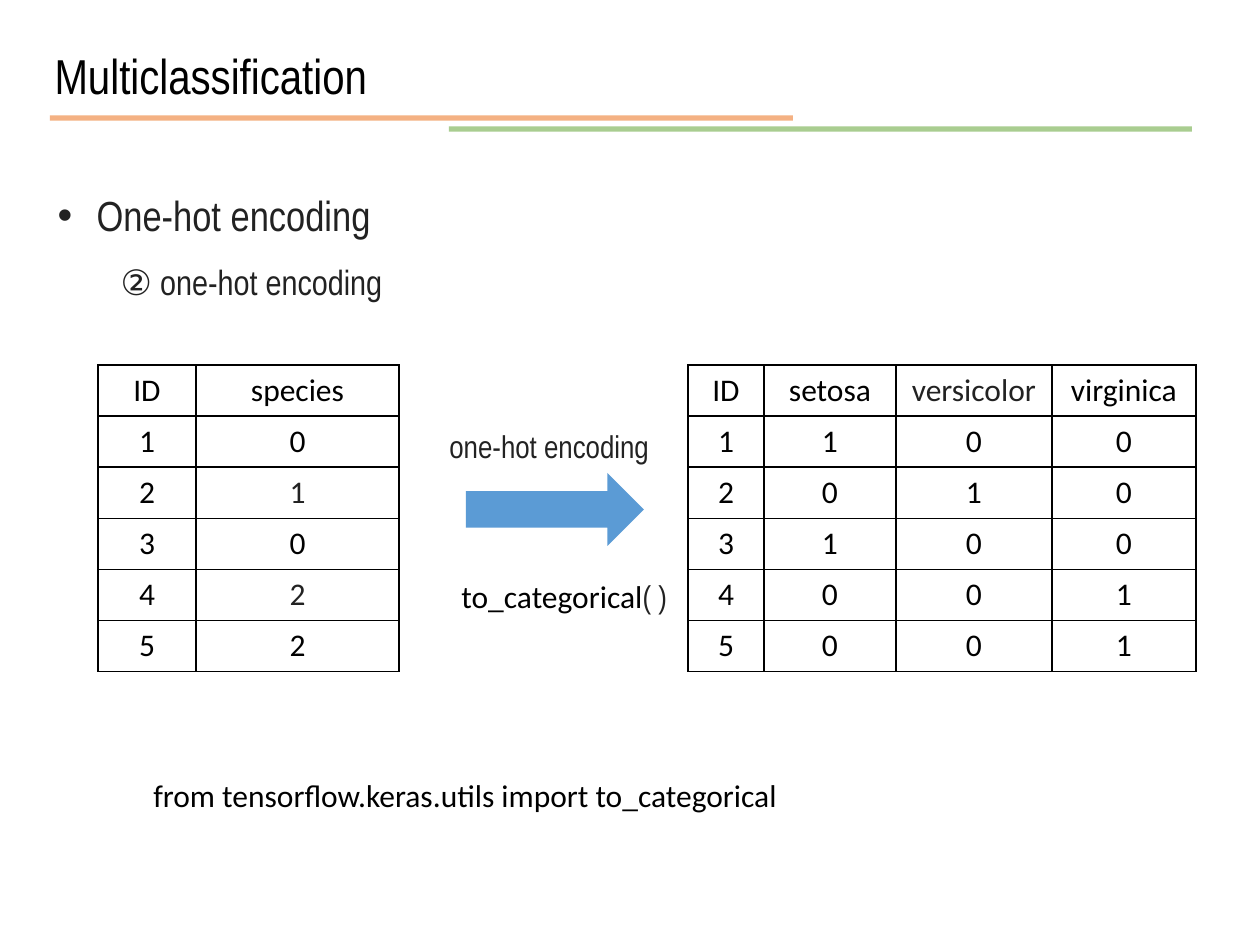
from dataclasses import dataclass

from pptx import Presentation
from pptx.dml.color import RGBColor
from pptx.enum.shapes import MSO_CONNECTOR, MSO_SHAPE
from pptx.enum.text import MSO_ANCHOR, MSO_AUTO_SIZE, PP_ALIGN
from pptx.oxml.ns import qn
from pptx.util import Emu, Pt
from lxml.etree import SubElement


@dataclass(frozen=True)
class Theme:
    black: str = "000000"
    ink: str = "222222"
    orange: str = "ED7D31"
    green: str = "70AD47"
    blue: str = "5B9BD5"
    title: int = 28
    heading: int = 24
    subheading: int = 20
    body: int = 18
    narrow: str = "Arial Narrow"
    plain: str = "Calibri"


T = Theme()


def px(n):
    return Emu(round(n * 914400 / 126))


def write(p, text, size=T.body, font=T.plain, color=T.black, align=PP_ALIGN.LEFT, spacing=None):
    r = p.add_run()
    r.text = text
    r.font.size = Pt(size)
    r.font.name = font
    r.font.color.rgb = RGBColor.from_string(color)
    p.alignment = align
    if spacing:
        p.line_spacing = spacing
        p.space_before = Pt(0)


class Deck:
    """Builds slides in one style, with lengths in px."""

    def __init__(self, width, height):
        self.prs = Presentation()
        self.prs.slide_width, self.prs.slide_height = px(width), px(height)

    def add_slide(self):
        self.s = self.prs.slides.add_slide(self.prs.slide_layouts[1])

    def place(self, sp, x, y, w, h):
        sp.left, sp.top, sp.width, sp.height = px(x), px(y), px(w), px(h)
        tf = sp.text_frame
        tf.word_wrap = True
        tf.auto_size = MSO_AUTO_SIZE.NONE
        tf.vertical_anchor = MSO_ANCHOR.TOP
        return tf

    def title(self, text, *box):
        tf = self.place(self.s.shapes.title, *box)
        write(tf.paragraphs[0], text, size=T.title, font=T.narrow, spacing=1.5)

    def bullets(self, items, *box):
        tf = self.place(self.s.placeholders[1], *box)
        styles = [(T.heading, 39, -39, "•"), (T.subheading, 63, 0, None)]
        for i, (level, text) in enumerate(items):
            p = tf.add_paragraph() if i else tf.paragraphs[0]
            size, margin, indent, bullet = styles[level]
            p.level = level
            write(p, text, size=size, font=T.narrow, color=T.ink, spacing=1.5)
            pPr = p._p.get_or_add_pPr()
            pPr.set("marL", str(px(margin)))
            pPr.set("indent", str(px(indent)))
            if bullet:
                SubElement(pPr, qn("a:buFont"), typeface="Arial")
                SubElement(pPr, qn("a:buChar"), char=bullet)
            else:
                SubElement(pPr, qn("a:buNone"))

    def text(self, runs, *box):
        tf = self.place(self.s.shapes.add_textbox(0, 0, 0, 0), *box)
        for text, style in runs:
            write(tf.paragraphs[0], text, **style)

    def rule(self, x, y, w, color):
        line = self.s.shapes.add_connector(MSO_CONNECTOR.STRAIGHT, px(x), px(y), px(x + w), px(y))
        line.line.width = Pt(3)
        line.line.color.rgb = RGBColor.from_string(color)
        spPr = line._element.spPr
        SubElement(next(spPr.iter(qn("a:srgbClr"))), qn("a:alpha"), val="60000")
        SubElement(spPr, qn("a:effectLst"))

    def arrow(self, x, y, w, h):
        sp = self.s.shapes.add_shape(MSO_SHAPE.RIGHT_ARROW, px(x), px(y), px(w), px(h))
        sp.shadow.inherit = False
        sp.fill.solid()
        sp.fill.fore_color.rgb = RGBColor.from_string(T.blue)
        sp.line.fill.background()

    def table(self, rows, x, y, widths, row_height, soft=()):
        frame = self.s.shapes.add_table(len(rows), len(widths), px(x), px(y),
                                        px(sum(widths)), px(row_height * len(rows)))
        table = frame.table
        table.first_row = table.horz_banding = False
        for column, w in zip(table.columns, widths):
            column.width = px(w)
        for i, row in enumerate(rows):
            table.rows[i].height = px(row_height)
            for j, value in enumerate(row):
                cell = table.cell(i, j)
                color = T.ink if (i, j) in soft else T.black
                write(cell.text_frame.paragraphs[0], value, color=color, align=PP_ALIGN.CENTER)
                self.border(cell)
                cell.fill.background()

    def border(self, cell):
        tcPr = cell._tc.get_or_add_tcPr()
        for side in ("lnL", "lnR", "lnT", "lnB"):
            ln = SubElement(tcPr, qn(f"a:{side}"), w=str(Pt(1)))
            SubElement(SubElement(ln, qn("a:solidFill")), qn("a:srgbClr"), val=T.black)


def main():
    deck = Deck(1260, 945)
    deck.add_slide()
    deck.rule(50, 118, 743, T.orange)
    deck.rule(449, 129, 743, T.green)
    deck.title("Multiclassification", 42, 10, 1177, 91)
    deck.bullets([(0, "One-hot encoding"), (1, "② one-hot encoding")], 45, 158, 1205, 145)

    species = ["0", "1", "0", "2", "2"]
    labels = [["ID", "species"]]
    encoded = [["ID", "setosa", "versicolor", "virginica"]]
    for n, kind in enumerate(species, 1):
        labels.append([str(n), kind])
        encoded.append([str(n)] + ["1" if kind == k else "0" for k in "012"])
    deck.table(labels, 98, 365, [98, 203], 51, soft={(2, 1), (4, 1)})
    deck.table(encoded, 688, 365, [76, 132, 156, 144], 51, soft={(0, 2)})

    soft = dict(font=T.narrow, color=T.ink)
    deck.arrow(466, 473, 178, 73)
    deck.text([("one-hot encoding", soft)], 437, 421, 233, 51)
    deck.text([("to_categorical", {}), ("( )", soft)], 449, 571, 233, 51)
    deck.text([("from tensorflow.keras.utils import to_categorical", {})], 141, 770, 746, 51)
    deck.prs.save("out.pptx")


if __name__ == "__main__":
    main()
